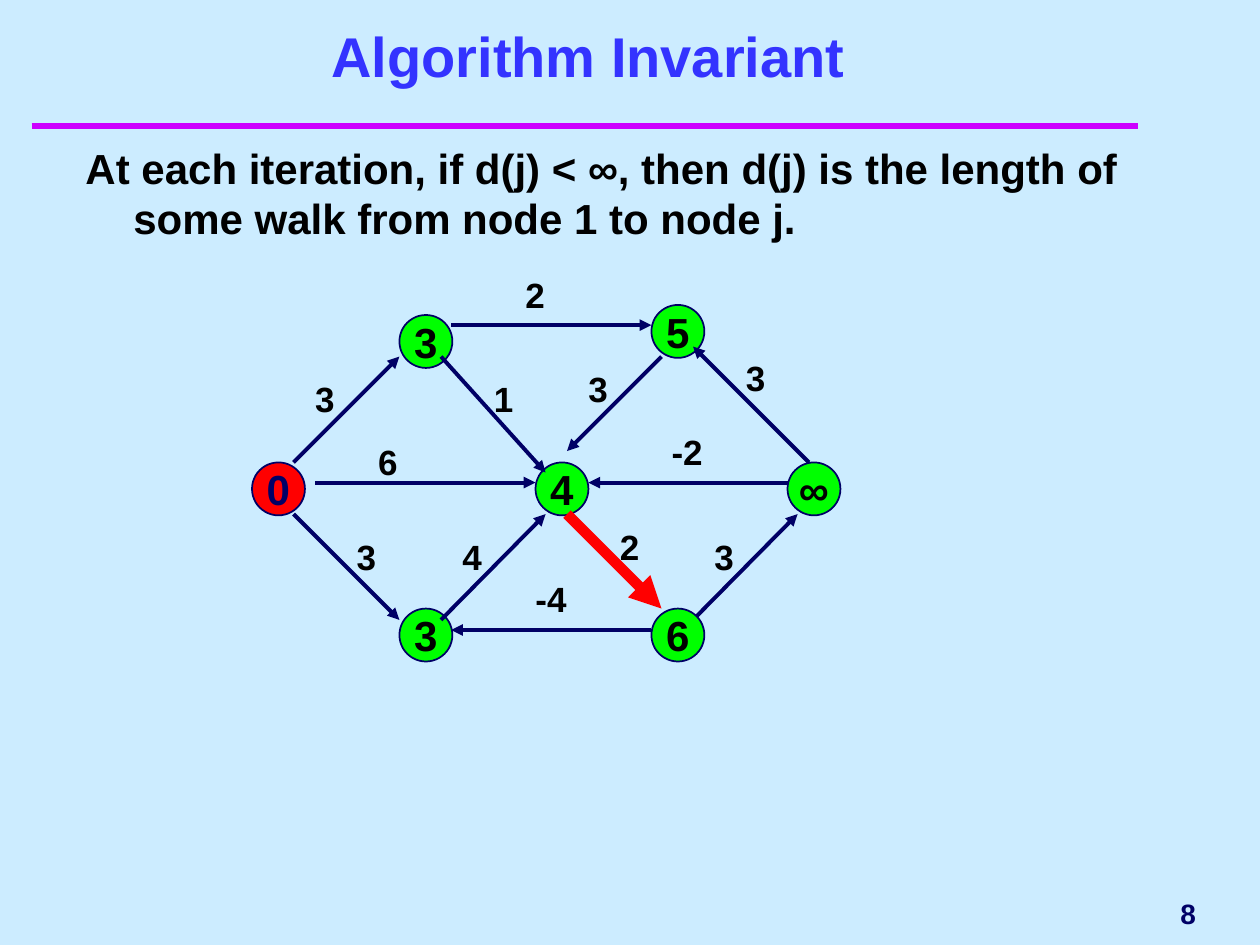
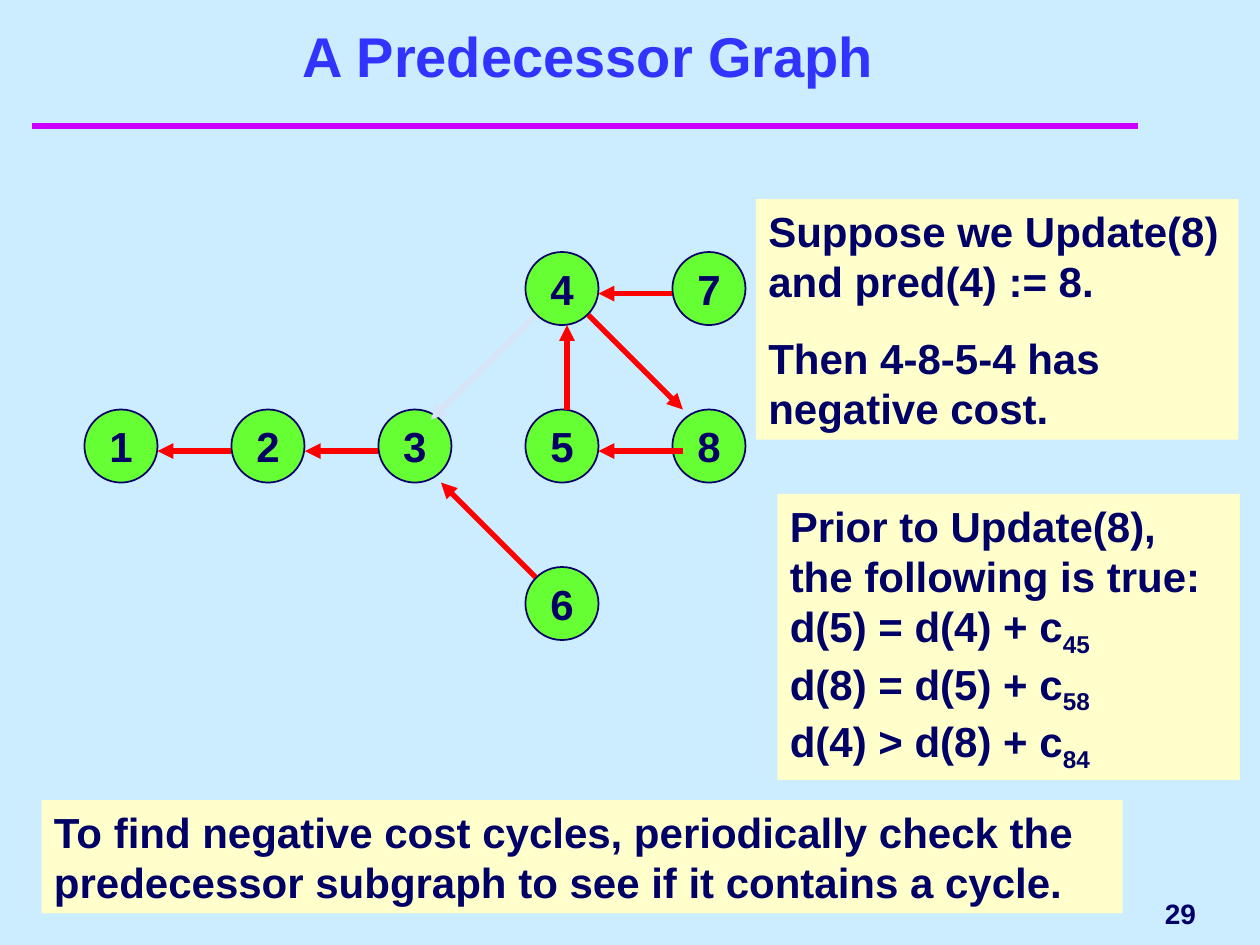
from lxml import etree
from pptx import Presentation
from pptx.dml.color import RGBColor
from pptx.enum.shapes import MSO_CONNECTOR as Link, MSO_SHAPE as Form
from pptx.enum.text import MSO_ANCHOR as Anchor, PP_ALIGN as Align
from pptx.oxml.ns import qn
from pptx.util import Inches, Pt

SKY, NAVY, BLACK, RED = "CCECFF", "000066", "000000", "FF0000"
BLUE, PINK, CREAM, PALE = "3333FF", "CC00FF", "FFFFCC", "D8E4F8"
GREEN, LIME = "00FF00", "66FF33"

# Node label: (left, top)
HUBS = [("3", 3.17, 2.5), ("3", 3.17, 4.83), ("5", 5.17, 2.42),
        ("4", 4.25, 3.67), ("∞", 6.25, 3.67), ("6", 5.17, 4.83)]

# Edge start, end, cost and place of the cost
EDGES = [
    ((2.33, 3.67), (3.17, 2.83), "3", (2.5, 3)),
    ((3.58, 2.58), (5.17, 2.58), "2", (4.17, 2.17)),
    ((6.42, 3.67), (5.5, 2.75), "3", (5.92, 2.83)),
    ((5.25, 2.83), (4.5, 3.58), "3", (4.67, 2.92)),
    ((2.5, 3.83), (4.25, 3.83), "6", (3, 3.5)),
    ((3.5, 4.92), (4.33, 4.08), "4", (3.67, 4.25)),
    ((5.17, 5), (3.58, 5), "-4", (4.25, 4.58)),
    ((2.33, 4.08), (3.17, 4.92), "3", (2.83, 4.25)),
    ((3.5, 2.83), (4.33, 3.75), "1", (3.92, 3)),
    ((6.25, 3.83), (4.67, 3.83), "-2", (5.33, 3.42)),
    ((5.5, 4.92), (6.33, 4.08), "3", (5.67, 4.25)),
]

# Node number: (column, row)
PREDS = {1: (0, 1), 2: (1, 1), 3: (2, 1), 4: (3, 0),
         7: (4, 0), 6: (3, 2), 5: (3, 1), 8: (4, 1)}

ARCS = [
    ((1.83, 3.58), (1.25, 3.58), RED), ((3, 3.58), (2.42, 3.58), RED),
    ((5.42, 3.58), (4.75, 3.58), RED), ((4.25, 4.58), (3.5, 3.83), RED),
    ((5.33, 2.33), (4.75, 2.33), RED), ((4.5, 3.25), (4.5, 2.58), RED),
    ((4.25, 2.5), (3.42, 3.33), PALE), ((4.67, 2.5), (5.42, 3.25), RED),
]


def color(text):
    return RGBColor.from_string(text)


def apply(item, **values):
    """Set each named value on the item."""
    for name, value in values.items():
        setattr(item, name, value)


def write(shape, paras, size, tint, align=Align.LEFT, gap=0, pad=(0.1, 0.05),
          anchor=Anchor.TOP, wrap=True):
    """Fill a shape with paragraphs; a pair holds a text and its subscript."""
    frame = shape.text_frame
    side, edge = map(Inches, pad)
    apply(frame, word_wrap=wrap, vertical_anchor=anchor, margin_left=side,
          margin_right=side, margin_top=edge, margin_bottom=edge)
    for i, para in enumerate(paras):
        line = frame.add_paragraph() if i else frame.paragraphs[0]
        line.alignment = align
        if i and gap:
            line.space_before = Pt(gap)
        parts = (para,) if isinstance(para, str) else para
        for j, part in enumerate(parts):
            run = line.add_run()
            run.text = part
            apply(run.font, name="Arial", size=Pt(size), bold=True)
            run.font.color.rgb = color(tint)
            if j:
                run._r.get_or_add_rPr().set("baseline", "-25000")


def add_text(slide, box, text, size, tint, **style):
    shape = slide.shapes.add_textbox(*map(Inches, box))
    write(shape, [text], size, tint, **style)
    return shape


def add_form(slide, form, box, fill):
    shape = slide.shapes.add_shape(form, *map(Inches, box))
    shape.shadow.inherit = False
    shape.fill.solid()
    shape.fill.fore_color.rgb = color(fill)
    return shape


def add_node(slide, text, left, top, size, fill, tint):
    shape = add_form(slide, Form.OVAL, (left, top, size, size), fill)
    shape.line.color.rgb = color(NAVY)
    shape.line.width = Pt(1)
    write(shape, [text], 24, tint, align=Align.CENTER,
          anchor=Anchor.MIDDLE, wrap=False)


def add_note(slide, box, paras, gap=0):
    shape = add_form(slide, Form.RECTANGLE, box, CREAM)
    shape.line.fill.background()
    write(shape, paras, 24, NAVY, gap=gap)


def add_line(slide, start, end, tint, width, arrow=True):
    line = slide.shapes.add_connector(Link.STRAIGHT, *map(Inches, start + end))
    line.line.color.rgb = color(tint)
    line.line.width = Pt(width)
    if arrow:
        tip = etree.SubElement(line.line._get_or_add_ln(), qn("a:tailEnd"))
        tip.set("type", "triangle")
    etree.SubElement(line._element.spPr, qn("a:effectLst"))


def add_page(deck, title, number):
    """Add a slide with the shared background, title, rule and number."""
    slide = deck.slides.add_slide(deck.slide_layouts[6])
    slide.background.fill.solid()
    slide.background.fill.fore_color.rgb = color(SKY)
    add_line(slide, (0.25, 1), (9.03, 1), PINK, 4, arrow=False)
    add_text(slide, (0.42, 0.17, 8.5, 0.58), title, 32, BLUE,
             align=Align.CENTER, anchor=Anchor.BOTTOM)
    add_text(slide, (7.67, 7, 1.92, 0.5), number, 16, NAVY,
             align=Align.RIGHT, anchor=Anchor.MIDDLE)
    return slide


def draw_walks(deck):
    slide = add_page(deck, "Algorithm Invariant", "8")
    body = add_text(
        slide, (0.58, 1.08, 8.45, 1.33),
        "At each iteration, if d(j) < ∞, then d(j) is the length of "
        "some walk from node 1 to node j.", 24, BLACK)
    props = body.text_frame.paragraphs[0]._p.get_or_add_pPr()
    props.set("marL", str(Inches(0.38)))
    props.set("indent", str(Inches(-0.38)))

    add_node(slide, "0", 2, 3.67, 0.42, RED, NAVY)
    for text, left, top in HUBS[:-1]:
        add_node(slide, text, left, top, 0.42, GREEN, BLACK)
    for start, end, cost, spot in EDGES:
        add_line(slide, start, end, NAVY, 2.25)
        add_cost(slide, cost, spot)
    add_cost(slide, "2", (4.92, 4.17))
    add_line(slide, (4.5, 4.08), (5.25, 4.83), RED, 6)
    add_node(slide, *HUBS[-1], 0.42, GREEN, BLACK)


def add_cost(slide, cost, spot):
    width = 0.22 if len(cost) == 1 else 0.5
    add_text(slide, spot + (width, 0.33), cost, 20, BLACK, pad=(0, 0))


def draw_preds(deck):
    slide = add_page(deck, "A Predecessor Graph", "29")
    add_note(slide, (6, 1.58, 3.83, 1.91),
             ["Suppose we Update(8) and pred(4) := 8.",
              "Then 4-8-5-4 has negative cost."], gap=15)
    add_note(slide, (6.17, 3.92, 3.67, 2.27),
             ["Prior to Update(8), the following is true:",
              ("d(5) = d(4) + c", "45"),
              ("d(8) = d(5) + c", "58"),
              ("d(4) > d(8) + c", "84")])
    add_note(slide, (0.33, 6.35, 8.58, 0.9),
             ["To find negative cost cycles, periodically check the "
              "predecessor subgraph to see if it contains a cycle."])
    for number, (col, row) in PREDS.items():
        add_node(slide, str(number), 0.67 + col * 7 / 6, 2 + row * 1.25,
                 0.58, LIME, NAVY)
    for start, end, tint in ARCS:
        add_line(slide, start, end, tint, 3)


def main():
    deck = Presentation()
    apply(deck, slide_width=Inches(10), slide_height=Inches(7.5))
    draw_walks(deck)
    draw_preds(deck)
    deck.save("out.pptx")


if __name__ == "__main__":
    main()
